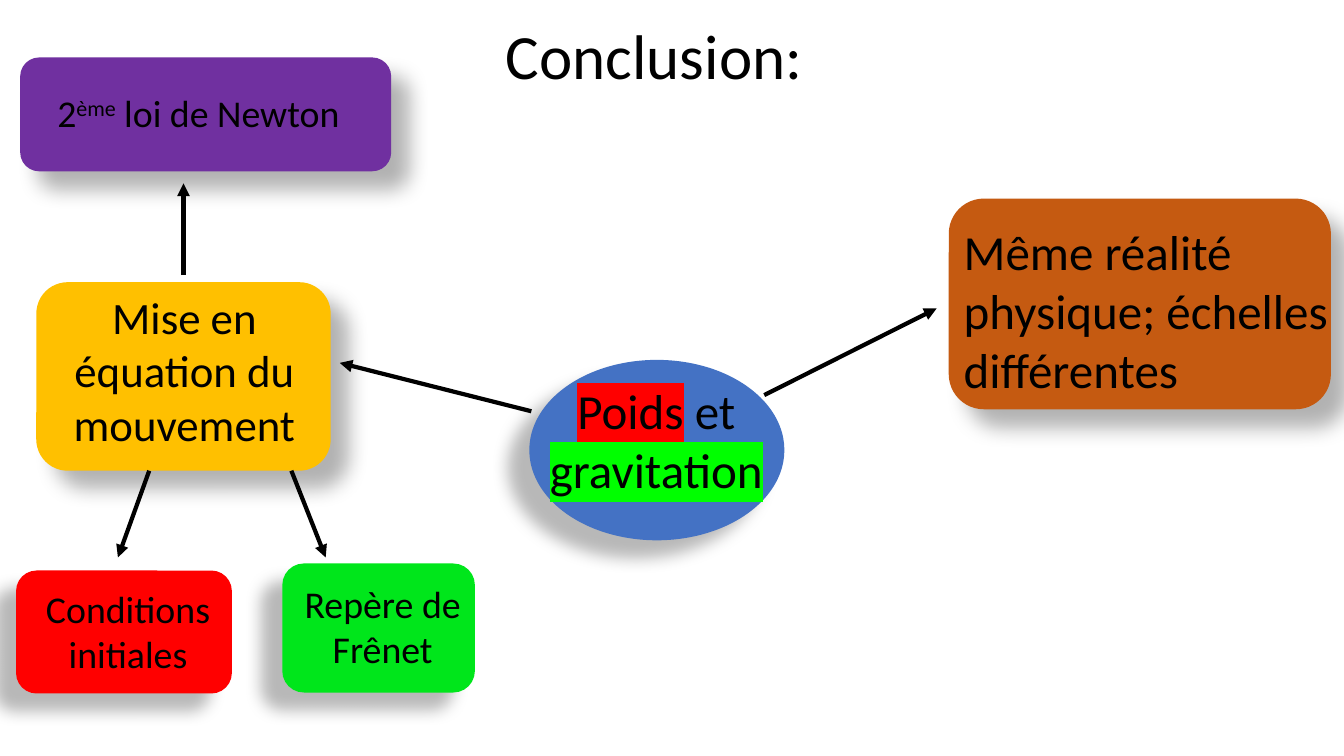
from lxml.etree import SubElement
from pptx import Presentation
from pptx.dml.color import RGBColor
from pptx.enum.shapes import MSO_CONNECTOR, MSO_SHAPE
from pptx.enum.text import PP_ALIGN
from pptx.oxml.ns import qn
from pptx.util import Pt

PX = 9144
FONT = "Calibri"
BLACK = "000000"
LOWER_RIGHT = (30, 15, 18, 45)
LOWER_LEFT = (28, 11.8, 19.7, 141)


def emu(*lengths):
    return [n * PX for n in lengths]


def rgb(value):
    return RGBColor.from_string(value)


def add_color(parent, value):
    return SubElement(parent, qn("a:srgbClr"), val=value)


def add_text(s, box, size, runs, align=PP_ALIGN.CENTER):
    tf = s.shapes.add_textbox(*emu(*box)).text_frame
    tf.word_wrap = True
    p = tf.paragraphs[0]
    p.alignment = align
    for text, style in runs:
        r = p.add_run()
        r.text = text
        r.font.size = Pt(size)
        r.font.color.rgb = rgb(BLACK)
        rpr = r.font._element
        if "highlight" in style:
            add_color(SubElement(rpr, qn("a:highlight")), style["highlight"])
        if "baseline" in style:
            rpr.set("baseline", str(style["baseline"] * 1000))
        r.font.name = FONT


def add_shadow(sp, opacity, blur, distance, angle):
    sp.shadow.inherit = False
    effects = sp._element.spPr.find(qn("a:effectLst"))
    shadow = SubElement(
        effects, qn("a:outerShdw"), blurRad=str(Pt(blur)), dist=str(Pt(distance)),
        dir=str(angle * 60000), algn="ctr", rotWithShape="0")
    SubElement(add_color(shadow, BLACK), qn("a:alpha"), val=str(opacity * 1000))


def add_node(s, box, fill, shadow, text_box, size, runs,
             align=PP_ALIGN.CENTER, kind=MSO_SHAPE.ROUNDED_RECTANGLE):
    sp = s.shapes.add_shape(kind, *emu(*box))
    sp.fill.solid()
    sp.fill.fore_color.rgb = rgb(fill)
    sp.line.fill.background()
    add_shadow(sp, *shadow)
    dx, dy, width, height = text_box
    add_text(s, (box[0] + dx, box[1] + dy, width, height), size, runs, align)


def add_arrow(s, start, end):
    arrow = s.shapes.add_connector(MSO_CONNECTOR.STRAIGHT, *emu(*start, *end))
    arrow.line.width = Pt(3)
    arrow.line.color.rgb = rgb(BLACK)
    SubElement(arrow.line._get_or_add_ln(), qn("a:tailEnd"), type="triangle")
    SubElement(arrow._element.spPr, qn("a:effectLst"))


def add_center(s):
    add_node(s, (525, 357, 253, 179), "4472C4", LOWER_LEFT, (-25, 16, 302, 128), 35,
             [("Poids", {"highlight": "FF0000"}), (" et ", {}),
              ("gravitation", {"highlight": "00FF00"})], kind=MSO_SHAPE.OVAL)


def add_motion_branch(s):
    add_node(s, (36, 280, 292, 187), "FFC000", LOWER_RIGHT, (-20, 2, 334, 172), 32,
             [("Mise en équation du mouvement", {})])
    add_node(s, (20, 57, 368, 113), "7030A0", LOWER_RIGHT, (27, 27, 317, 56), 27,
             [("2", {}), ("ème", {"baseline": 30}), (" loi de Newton", {})],
             PP_ALIGN.LEFT)
    add_node(s, (16, 566, 214, 122), "FF0000", LOWER_LEFT, (-16, 10, 254, 101), 27,
             [("Conditions initiales", {})])
    add_node(s, (280, 559, 191, 128), "00E61B", LOWER_LEFT, (9, 12, 181, 101), 27,
             [("Repère de Frênet", {})])


def add_scale_branch(s):
    add_node(s, (941, 197, 379, 209), "C55A11", LOWER_RIGHT, (5, 18, 387, 187), 35,
             [("Même réalité physique; échelles différentes", {})], PP_ALIGN.LEFT)


def add_arrows(s):
    for start, end in [
        ((527, 408), (337, 360)),
        ((758, 392), (929, 306)),
        ((182, 273), (182, 182)),
        ((148, 467), (117, 553)),
        ((289, 467), (323, 553)),
    ]:
        add_arrow(s, start, end)


def main():
    prs = Presentation()
    prs.slide_width, prs.slide_height = emu(1333, 750)
    s = prs.slides.add_slide(prs.slide_layouts[6])
    add_text(s, (492, 11, 777, 86), 45, [("Conclusion:", {})], PP_ALIGN.LEFT)
    add_center(s)
    add_motion_branch(s)
    add_scale_branch(s)
    add_arrows(s)
    prs.save("out.pptx")


if __name__ == "__main__":
    main()
